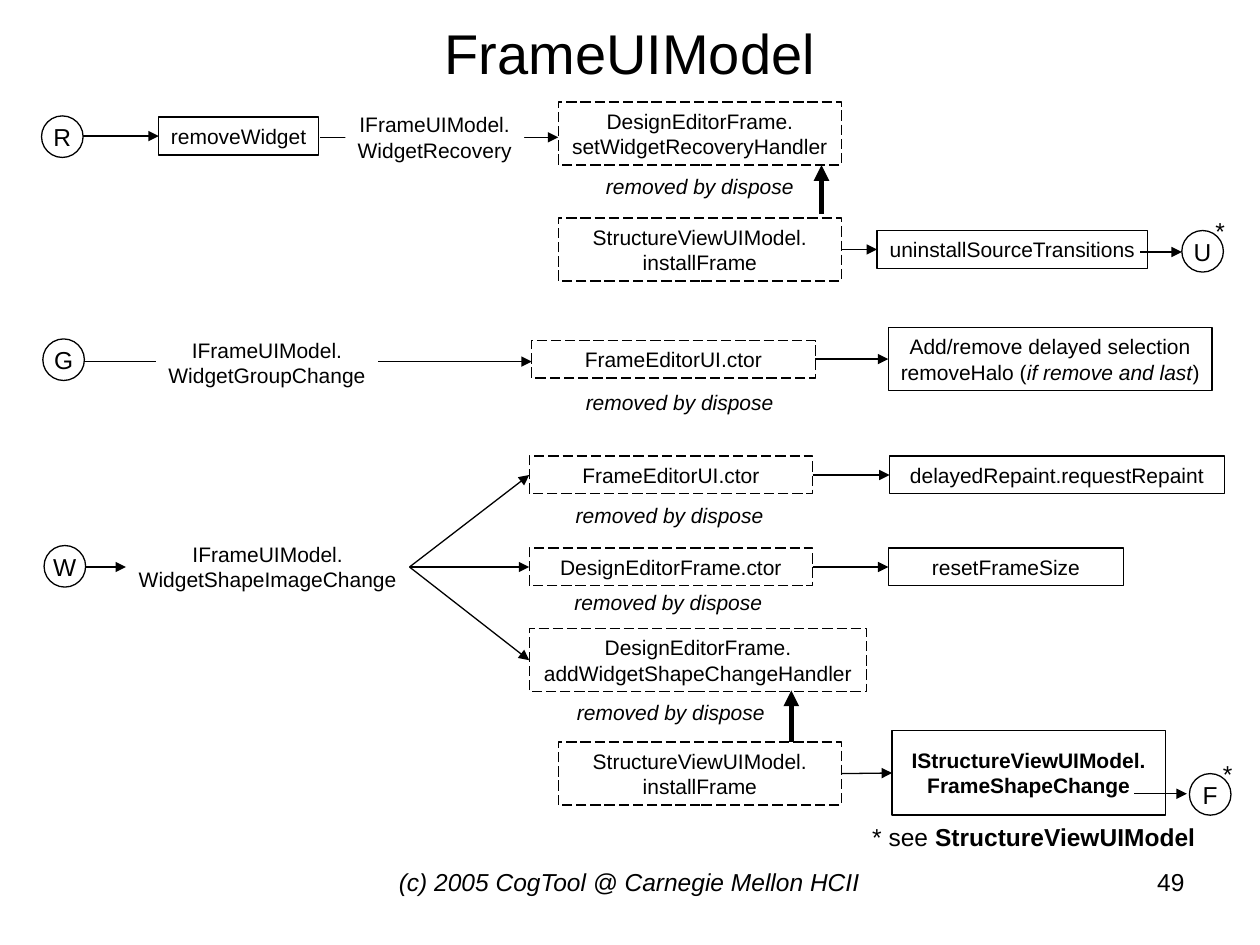
import dataclasses
import typing

import lxml.etree
import pptx
import pptx.dml.color
import pptx.enum.dml
import pptx.enum.shapes
import pptx.enum.text
import pptx.oxml.ns
import pptx.util

SHAPE = pptx.enum.shapes.MSO_SHAPE
ALIGN = pptx.enum.text.PP_ALIGN
ANCHOR = pptx.enum.text.MSO_ANCHOR
BLACK, WHITE = "000000", "FFFFFF"
RING = 33


def px(count):
    return pptx.util.Emu(count * 9144)


def color(code):
    return pptx.dml.color.RGBColor.from_string(code)


def style(font, size, bold=False, slant=False):
    font.name = "Arial"
    font.size = pptx.util.Pt(size)
    font.bold = bold
    font.italic = slant
    font.color.rgb = color(BLACK)


def write(shape, text, size, mark="", align=ALIGN.CENTER, anchor=ANCHOR.MIDDLE):
    frame = shape.text_frame
    frame.word_wrap = False
    frame.auto_size = pptx.enum.text.MSO_AUTO_SIZE.NONE
    frame.vertical_anchor = anchor
    for index, line in enumerate(text.split("\n")):
        para = frame.paragraphs[0] if index == 0 else frame.add_paragraph()
        para.alignment = align
        pieces = line.split("|")
        whole = "|" not in text
        style(para.font, size, whole and mark == "b", whole and mark == "i")
        for place, piece in enumerate(pieces):
            run = para.add_run()
            run.text = piece
            if place % 2:
                style(run.font, size, mark == "b", mark == "i")


@dataclasses.dataclass
class Region:
    slide: typing.Any
    left: int
    top: int

    def place(self, x, y, w, h):
        return px(self.left + x), px(self.top + y), px(w), px(h)

    def shape(self, kind, box):
        shape = self.slide.shapes.add_shape(kind, *self.place(*box))
        shape.shadow.inherit = False
        return shape

    def border(self, shape):
        shape.fill.background()
        shape.line.color.rgb = color(BLACK)
        shape.line.width = pptx.util.Pt(0.75)

    def node(self, text, *box, dash=False, mark=""):
        shape = self.shape(SHAPE.RECTANGLE, box)
        self.border(shape)
        if dash:
            shape.line.dash_style = pptx.enum.dml.MSO_LINE.LONG_DASH
        write(shape, text, 12, mark)
        return shape

    def label(self, text, *box):
        shape = self.shape(SHAPE.RECTANGLE, box)
        shape.fill.solid()
        shape.fill.fore_color.rgb = color(WHITE)
        shape.line.fill.background()
        write(shape, text, 12, anchor=ANCHOR.TOP)
        return shape

    def note(self, text, *box, size=14, **look):
        write(self.slide.shapes.add_textbox(*self.place(*box)), text, size, **look)

    def removed(self, x, y):
        self.note("removed by dispose", x, y, 183, 30, size=12, mark="i")

    def ring(self, text, x, y, star=False):
        shape = self.shape(SHAPE.OVAL, (x, y, RING, RING))
        self.border(shape)
        write(shape, text, 14)
        if star:
            self.note("*", x + 17, y - 17, 27, 34)

    def wire(self, start, end, width=0.75):
        first = start if isinstance(start, tuple) else (0, 0)
        last = end if isinstance(end, tuple) else (0, 0)
        x, y, far, low = self.place(*first, self.left + last[0], self.top + last[1])
        line = self.slide.shapes.add_connector(
            pptx.enum.shapes.MSO_CONNECTOR.STRAIGHT, x, y, far, low)
        if not isinstance(start, tuple):
            line.begin_connect(start, 3)
        if not isinstance(end, tuple):
            line.end_connect(end, 1)
        line.line.color.rgb = color(BLACK)
        line.line.width = pptx.util.Pt(width)
        qn = pptx.oxml.ns.qn
        props = line._element.spPr
        lxml.etree.SubElement(props.find(qn("a:ln")), qn("a:tailEnd"), type="triangle")
        lxml.etree.SubElement(props, qn("a:effectLst"))


def title(slide, x, y, w, h):
    shape = slide.shapes.title
    shape.left, shape.top, shape.width, shape.height = map(px, (x, y, w, h))
    write(shape, "FrameUIModel", 32)


def recover(slide, x, y):
    area = Region(slide, x, y)
    area.ring("R", 0, 11)
    remove = area.node("removeWidget", 93, 12, 127, 30)
    area.wire((RING, 27), remove)
    area.wire((221, 28), (410, 28))
    area.label("IFrameUIModel.\nWidgetRecovery", 241, 3, 142, 50)
    area.node("DesignEditorFrame.\nsetWidgetRecoveryHandler", 410, 0, 225, 50, dash=True)
    area.removed(431, 52)
    install = area.node("StructureViewUIModel.\ninstallFrame", 410, 92, 225, 50, dash=True)
    area.wire((619, 89), (619, 50), 3)
    undo = area.node("uninstallSourceTransitions", 663, 102, 215, 30)
    area.wire(install, undo)
    area.ring("U", 905, 102, star=True)
    area.wire((872, 119), (905, 119))


def group(slide, x, y):
    area = Region(slide, x, y)
    area.wire((RING, 27), (388, 27))
    area.ring("G", 0, 9)
    area.label("IFrameUIModel.\nWidgetGroupChange", 90, 3, 176, 50)
    editor = area.node("FrameEditorUI.ctor", 388, 10, 225, 30, dash=True)
    area.removed(414, 44)
    delay = area.node("Add/remove delayed selection\nremoveHalo (|if remove and last|)",
                      671, 0, 257, 50, mark="i")
    area.wire(editor, delay)


def change(slide, x, y):
    area = Region(slide, x, y)
    area.ring("W", 0, 71)
    event = area.label("IFrameUIModel.\nWidgetShapeImageChange", 65, 63, 225, 50)
    area.wire((RING, 88), event)
    editor = area.node("FrameEditorUI.ctor", 385, 0, 225, 30, dash=True)
    design = area.node("DesignEditorFrame.ctor", 385, 73, 225, 30, dash=True)
    handler = area.node("DesignEditorFrame.\naddWidgetShapeChangeHandler",
                        385, 137, 268, 50, dash=True)
    for target in (editor, design, handler):
        area.wire(event, target)
    for left, top in ((405, 32), (404, 101), (406, 188)):
        area.removed(left, top)
    install = area.node("StructureViewUIModel.\ninstallFrame", 408, 227, 225, 50, dash=True)
    area.wire((593, 227), (593, 186), 3)
    repaint = area.node("delayedRepaint.requestRepaint", 671, 0, 266, 30)
    reset = area.node("resetFrameSize", 670, 73, 187, 30)
    frame = area.node("IStructureViewUIModel.\nFrameShapeChange", 673, 218, 217, 67, mark="b")
    for start, end in ((editor, repaint), (design, reset), (install, frame)):
        area.wire(start, end)
    area.ring("F", 909, 252, star=True)
    area.wire((865, 268), (907, 268))
    area.note("* see |StructureViewUIModel|", 647, 285, 277, 34, mark="b")


def footer(slide, x, y):
    area = Region(slide, x, y)
    area.note("(c) 2005 CogTool @ Carnegie Mellon HCII", 0, 0, 433, 52,
              mark="i", anchor=ANCHOR.TOP)
    area.note("49", 434, 0, 233, 52, align=ALIGN.RIGHT, anchor=ANCHOR.TOP)


def main():
    deck = pptx.Presentation()
    deck.slide_width, deck.slide_height = px(1000), px(750)
    slide = deck.slides.add_slide(deck.slide_layouts[5])
    title(slide, 50, 10, 900, 62)
    recover(slide, 33, 81)
    group(slide, 34, 260)
    change(slide, 35, 362)
    footer(slide, 283, 683)
    deck.save("out.pptx")


if __name__ == "__main__":
    main()
